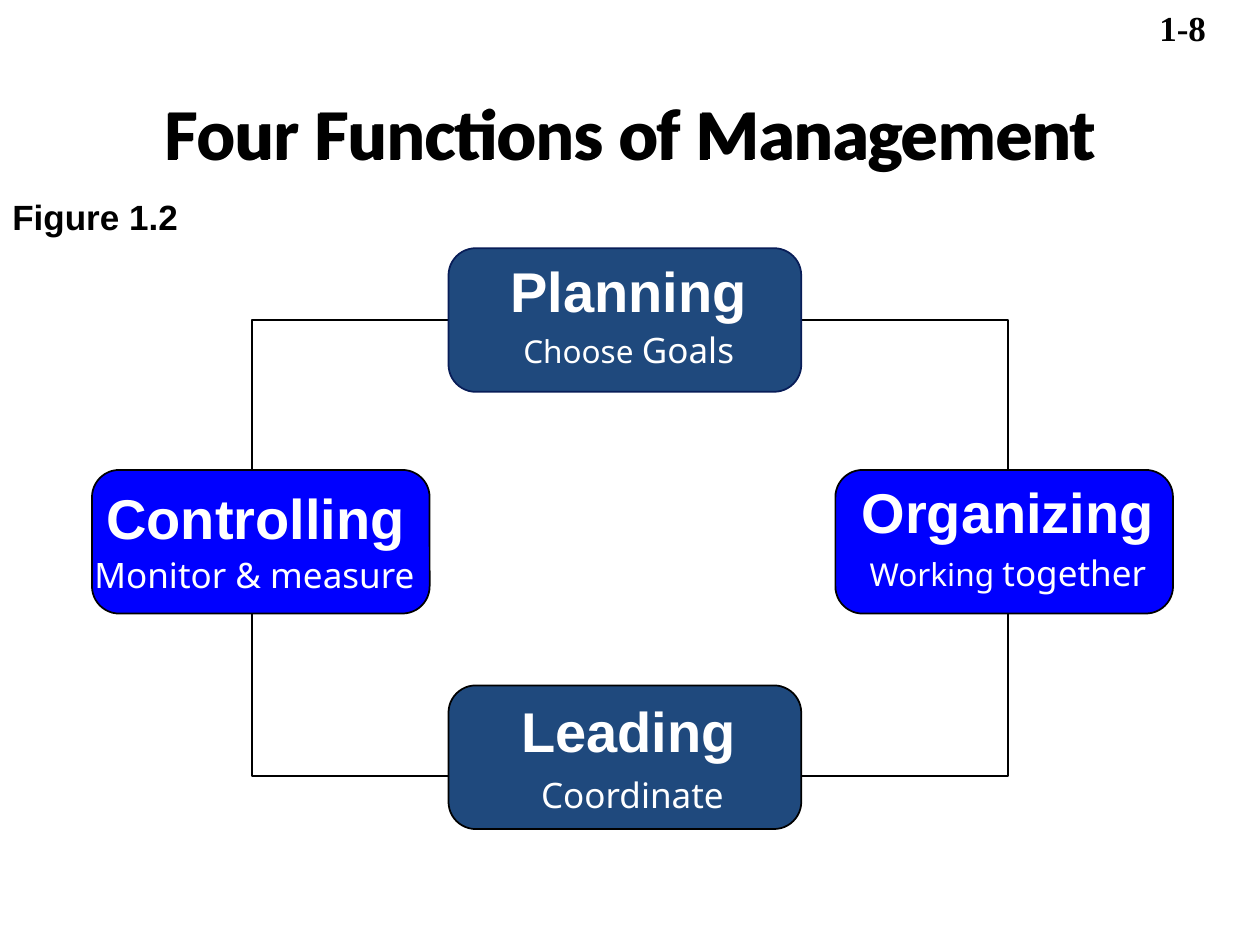
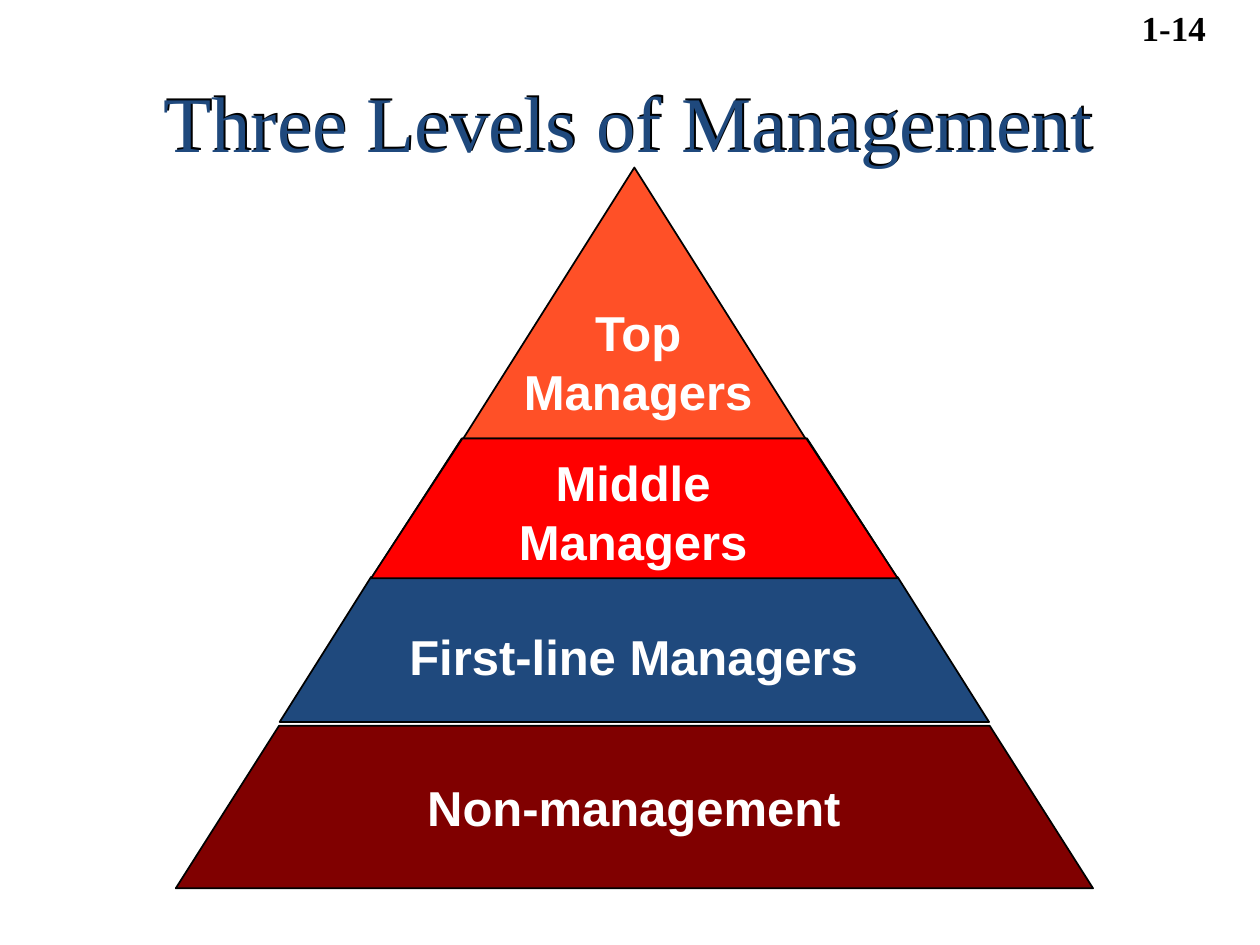
from lxml.etree import SubElement
from pptx import Presentation
from pptx.dml.color import RGBColor
from pptx.enum.shapes import MSO_SHAPE
from pptx.enum.text import MSO_ANCHOR, MSO_AUTO_SIZE, PP_ALIGN
from pptx.oxml.ns import qn
from pptx.util import Inches, Pt

WIDTH, HEIGHT = Inches(10), Inches(7.5)
COLUMNS, ROWS = 100, 75
BLACK, WHITE = "000000", "FFFFFF"
NAVY, BLUE, DARK_EDGE = "1F497D", "0000FF", "081D58"
ORANGE, RED, MAROON = "FF5027", "FF0000", "800000"
HEADING_FONT, NOTE_FONT, SERIF = "Arial", "Noto Sans", "Times New Roman"
NUMBER_RIGHT = 96.7
PYRAMID_CENTRE = 50.35
CARD_HEIGHT = 11.4


def color(code):
    return RGBColor.from_string(code)


def across(columns):
    return round(WIDTH * columns / COLUMNS)


def down(rows):
    return round(HEIGHT * rows / ROWS)


def place(left, top, width, height):
    """Turn grid columns and rows into slide lengths."""
    return across(left), down(top), across(width), down(height)


def style_font(font, size, name, code, bold=False):
    font.size = Pt(size)
    font.name = name
    font.bold = bold
    font.color.rgb = color(code)


def paint(shape, fill, line=BLACK):
    shape.shadow.inherit = False
    if fill:
        shape.fill.solid()
        shape.fill.fore_color.rgb = color(fill)
    else:
        shape.fill.background()
    shape.line.color.rgb = color(line)
    shape.line.width = Pt(1)


def cast_shadow(shape):
    """Give an unfilled shape's text a thin black shadow to the upper right."""
    shape.shadow.inherit = False
    effects = shape.element.spPr.find(qn("a:effectLst"))
    shadow = SubElement(effects, qn("a:outerShdw"), dist="18000", dir="18900000",
                        algn="ctr", rotWithShape="0")
    SubElement(shadow, qn("a:srgbClr"), val=BLACK)


def add_title(page, text, area, size, font_name, code, bold=False):
    title = page.shapes.title
    title.left, title.top, title.width, title.height = place(*area)
    frame = title.text_frame
    frame.text = text
    frame.word_wrap = True
    frame.auto_size = MSO_AUTO_SIZE.NONE
    frame.vertical_anchor = MSO_ANCHOR.MIDDLE
    para = frame.paragraphs[0]
    para.alignment = PP_ALIGN.CENTER
    style_font(para.font, size, font_name, code, bold)
    cast_shadow(title)


def add_text(page, area, spans, font_name, code=WHITE, bold=False,
             align=PP_ALIGN.CENTER, wrap=False):
    """Add one paragraph made of (text, size) spans."""
    box = page.shapes.add_textbox(*place(*area))
    box.text_frame.word_wrap = wrap
    para = box.text_frame.paragraphs[0]
    para.alignment = align
    style_font(para.font, spans[0][1], font_name, code, bold)
    for text, size in spans:
        span = para.add_run()
        span.text = text
        if size != spans[0][1]:
            span.font.size = Pt(size)


def add_page_number(page, text, width):
    add_text(page, (NUMBER_RIGHT - width, 0, width, 4.4), [(text, 20)], SERIF,
             BLACK, bold=True, align=PP_ALIGN.RIGHT, wrap=True)


def add_card(page, left, top, width, fill, line=BLACK):
    card = page.shapes.add_shape(MSO_SHAPE.ROUNDED_RECTANGLE,
                                 *place(left, top, width, CARD_HEIGHT))
    card.adjustments[0] = 0.19
    paint(card, fill, line)


def add_tier(page, top, bottom, half_top, half_bottom, fill):
    """Add a slice of the pyramid; a zero top half-width gives the peak."""
    corners = [(PYRAMID_CENTRE + half_bottom, bottom),
               (PYRAMID_CENTRE - half_bottom, bottom),
               (PYRAMID_CENTRE - half_top, top)]
    if half_top:
        corners.append((PYRAMID_CENTRE + half_top, top))
    points = [(across(x), down(y)) for x, y in corners]
    builder = page.shapes.build_freeform(*points[0], scale=1.0)
    builder.add_line_segments(points[1:], close=True)
    paint(builder.convert_to_shape(), fill)


def build_functions(page):
    ring = page.shapes.add_shape(MSO_SHAPE.RECTANGLE, *place(20, 25.4, 60, 36.2))
    paint(ring, None)
    add_title(page, "Four Functions of Management", (7.6, 6, 84.8, 9),
              41, "Calibri", BLACK, bold=True)
    add_text(page, (0, 15, 17, 4.3), [("Figure 1.2", 20)], HEADING_FONT,
             BLACK, bold=True, align=PP_ALIGN.LEFT)
    # card (left, top, width, fill, line), heading and its area, note and its area
    functions = [
        ((35.6, 54.4, 28, NAVY), "Leading", (38.9, 54.8, 22, 6.3),
         [("Coordinate", 20)], (40.2, 60.9, 20, 4.3)),
        ((7.3, 37.3, 26.8, BLUE), "Controlling", (6.3, 37.9, 28, 6.3),
         [("Monitor & measure", 20)], (5.2, 43.4, 30, 4.3)),
        ((35.6, 19.7, 28, NAVY, DARK_EDGE), "Planning", (37.9, 19.9, 24, 6.3),
         [("Choose ", 18), ("Goals", 20)], (38.9, 25.6, 22, 4.3)),
        ((66.3, 37.3, 26.8, BLUE), "Organizing", (66, 37.4, 28, 6.3),
         [("Working ", 18), ("together", 20)], (66, 43.3, 28, 4.3)),
    ]
    for card, heading, heading_area, note, note_area in functions:
        add_card(page, *card)
        add_text(page, heading_area, [(heading, 32)], HEADING_FONT, bold=True)
        add_text(page, note_area, note, NOTE_FONT)
    add_page_number(page, "1-8", 6.7)


def build_levels(page):
    # top, bottom, half-width at top, half-width at bottom, fill
    tiers = [
        (13.3, 35, 0, 13.7, ORANGE),
        (34.8, 46, 13.7, 20.95, None),
        (57.6, 70.5, 28.2, 36.4, MAROON),
        (45.8, 57.3, 20.9, 28.15, NAVY),
        (34.8, 45.9, 13.65, 20.9, RED),
    ]
    for tier in tiers:
        add_tier(page, *tier)
    labels = [
        ("Top Managers", (39.4, 23.5, 22.5, 10.3)),
        ("Middle Managers", (33.8, 35.4, 32.9, 10.3)),
        ("First-line Managers", (30.6, 49.2, 39.4, 5.6)),
        ("Non-management", (23.4, 61.2, 53.8, 5.6)),
    ]
    for text, area in labels:
        add_text(page, area, [(text, 28)], HEADING_FONT, bold=True, wrap=True)
    add_title(page, "Three Levels of Management", (3.7, 4.3, 92.3, 10.6),
              45, SERIF, NAVY)
    add_page_number(page, "1-14", 10)


def main():
    deck = Presentation()
    deck.slide_width, deck.slide_height = WIDTH, HEIGHT
    title_only = deck.slide_layouts.get_by_name("Title Only")
    for build in (build_functions, build_levels):
        build(deck.slides.add_slide(title_only))
    deck.save("out.pptx")


if __name__ == "__main__":
    main()
